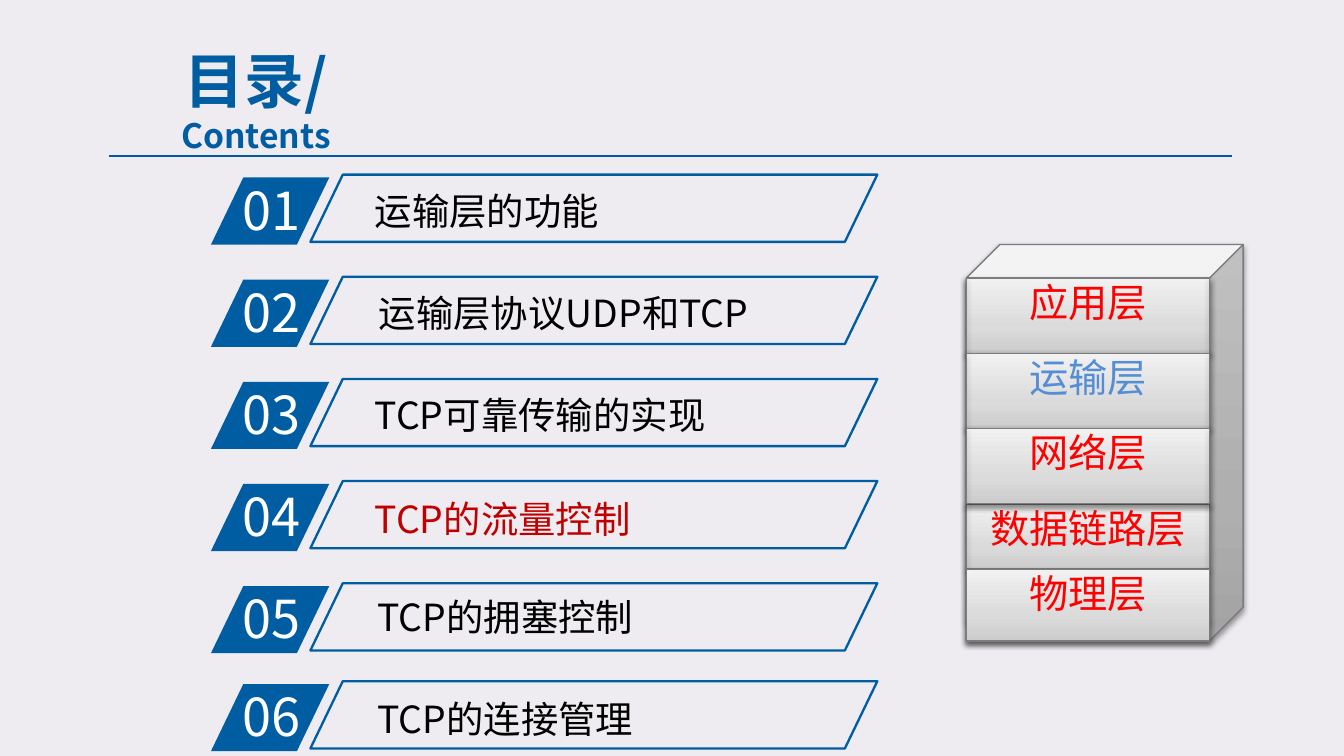
from dataclasses import dataclass

from pptx import Presentation
from pptx.dml.color import RGBColor
from pptx.enum.shapes import MSO_CONNECTOR as Connector, MSO_SHAPE as Shape
from pptx.enum.text import MSO_ANCHOR as Anchor, MSO_AUTO_SIZE as AutoSize, PP_ALIGN as Align
from pptx.oxml import parse_xml
from pptx.oxml.ns import nsdecls, qn
from pptx.util import Pt


@dataclass(frozen=True)
class Theme:
    font: str = "Noto Sans CJK SC"
    background: str = "EEECF1"
    blue: str = "005DA2"
    rule: str = "005B9E"
    white: str = "FFFFFF"
    black: str = "000000"
    current: str = "C00000"
    layer: str = "FF0000"
    transport: str = "558ED5"
    edge: str = "7C7C7C"
    metal: tuple = ((0, "CCCCCC"), (35, "DBDBDB"), (100, "F1F1F1"))
    title_size: float = 32
    subtitle_size: float = 18
    number_size: float = 28
    topic_size: float = 20
    layer_size: float = 21


THEME = Theme()
SLANT = 0.482

# topic, colour, and the text's offset within its frame
TOPICS = [
    ("运输层的功能", THEME.black, 27.4, 3.6),
    ("运输层协议UDP和TCP", THEME.black, 29.5, 3.6),
    ("TCP可靠传输的实现", THEME.black, 27.4, 3.6),
    ("TCP的流量控制", THEME.current, 27.4, 4.3),
    ("TCP的拥塞控制", THEME.black, 28.8, 2.2),
    ("TCP的连接管理", THEME.black, 28.8, 4.3),
]

# layer, colour, top, height, horizontal rules and side length, from the front's top
LAYERS = [
    ("应用层", THEME.layer, 0, 40.3, (40.3,), 40.3),
    ("运输层", THEME.transport, 40.3, 40.3, (80.6,), 40.3),
    ("数据链路层", THEME.layer, 121, 34.8, (121, 184.3), 63.4),
    ("网络层", THEME.layer, 80.6, 40.3, (), 40.3),
    ("物理层", THEME.layer, 156, 38.4, (), 0),
]


def color(value):
    return RGBColor.from_string(value)


def style_run(run, size, value, bold=False):
    run.font.size = Pt(size)
    run.font.name = THEME.font
    run.font.bold = bold
    run.font.color.rgb = color(value)
    east_asian = run.font._element.makeelement(qn("a:ea"), {"typeface": THEME.font})
    run.font._element.find(qn("a:latin")).addnext(east_asian)


def set_text(shape, text, size, value):
    shape.text_frame.text = text
    style_run(shape.text_frame.paragraphs[0].runs[0], size, value)


def add_text(slide, box, text, size, value):
    shape = slide.shapes.add_textbox(*map(Pt, box))
    shape.text_frame.word_wrap = True
    set_text(shape, text, size, value)


def set_line(shape, value, width):
    shape.line.color.rgb = color(value)
    shape.line.width = Pt(width)


def set_effects(shape, shadow=False):
    """Replace the theme's shadow by a soft one below, or by none."""
    soft = ('<a:outerShdw blurRad="39370" dist="20320" dir="5400000" rotWithShape="0">'
            '<a:srgbClr val="000000"><a:alpha val="38000"/></a:srgbClr></a:outerShdw>')
    shape._element.spPr.append(parse_xml(
        f'<a:effectLst {nsdecls("a")}>{soft if shadow else ""}</a:effectLst>'))


def add_line(slide, x1, y1, x2, y2, value, shadow=False):
    line = slide.shapes.add_connector(Connector.STRAIGHT, *map(Pt, (x1, y1, x2, y2)))
    set_line(line, value, 0.75)
    set_effects(line, shadow)


def add_parallelogram(slide, box):
    shape = slide.shapes.add_shape(Shape.PARALLELOGRAM, *map(Pt, box))
    shape.adjustments[0] = SLANT
    shape.shadow.inherit = False
    return shape


def add_metal(slide, kind, box):
    """Add a shape with the grey gradient, thin edge and soft shadow."""
    shape = slide.shapes.add_shape(kind, *map(Pt, box))
    stops = "".join(f'<a:gs pos="{place * 1000}"><a:srgbClr val="{value}"/></a:gs>'
                    for place, value in THEME.metal)
    shape._element.spPr.append(parse_xml(
        f'<a:gradFill {nsdecls("a")} rotWithShape="1"><a:gsLst>{stops}</a:gsLst>'
        '<a:lin ang="16200000" scaled="0"/></a:gradFill>'))
    set_line(shape, THEME.edge, 0.75)
    set_effects(shape, shadow=True)
    return shape


def build_heading(slide, box):
    title = slide.shapes.title
    title.left, title.top, title.width, title.height = map(Pt, box)
    frame = title.text_frame
    frame.auto_size = AutoSize.NONE
    frame.vertical_anchor = Anchor.MIDDLE
    frame.text = "目录/\vContents"
    paragraph = frame.paragraphs[0]
    paragraph.alignment = Align.CENTER
    for run, size in zip(paragraph.runs, (THEME.title_size, THEME.subtitle_size)):
        style_run(run, size, THEME.blue, bold=True)
    add_line(slide, 58.3, 83.5, 660.2, 83.5, THEME.rule)


def build_topic(slide, box, number, topic):
    left, top, width, height = box
    text, value, text_left, text_top = topic
    frame_left, frame_width = left + 53.3, width - 53.3

    badge = add_parallelogram(slide, (left, top + 1.5, 63.4, height))
    badge.fill.solid()
    badge.fill.fore_color.rgb = color(THEME.blue)
    badge.line.fill.background()
    add_text(slide, (left + 9.9, top - 1.8, 60.5, 41), f"{number:02}",
             THEME.number_size, THEME.white)

    frame = add_parallelogram(slide, (frame_left, top, frame_width, height))
    frame.fill.background()
    set_line(frame, THEME.blue, 1.25)
    add_text(slide, (frame_left + text_left, top + text_top, 260, 31.7), text,
             THEME.topic_size, value)


def build_contents(slide, box):
    left, top, width, height = box
    row_height, pitch = 36, 54.72
    last_top = top + height - row_height
    for index, topic in enumerate(TOPICS):
        row_top = min(top + index * pitch, last_top)
        build_topic(slide, (left, row_top, width, row_height), index + 1, topic)


def build_layer_stack(slide, box):
    left, top, width, height = box
    depth = 18
    cube = add_metal(slide, Shape.CUBE, box)
    cube.adjustments[0] = depth / min(width, height)
    front_top, right = top + depth, left + width - depth
    for name, value, offset, layer_height, rules, side in LAYERS:
        layer_top = front_top + offset
        layer = add_metal(slide, Shape.RECTANGLE,
                          (left, layer_top, right - left, layer_height))
        frame = layer.text_frame
        frame.margin_left = frame.margin_right = frame.margin_top = frame.margin_bottom = 0
        frame.vertical_anchor = Anchor.TOP
        set_text(layer, name, THEME.layer_size, value)
        frame.paragraphs[0].alignment = Align.CENTER
        for rule in rules:
            add_line(slide, left, front_top + rule, right, front_top + rule,
                     THEME.edge, shadow=True)
        if side:
            for x in (left, right):
                add_line(slide, x, layer_top, x, layer_top + side, THEME.edge, shadow=True)


def main():
    presentation = Presentation()
    presentation.slide_width, presentation.slide_height = Pt(720), Pt(405)
    slide = presentation.slides.add_slide(presentation.slide_layouts[5])
    slide.background.fill.solid()
    slide.background.fill.fore_color.rgb = color(THEME.background)
    build_heading(slide, (48.2, 33.8, 177.8, 38.9))
    build_contents(slide, (113, 93.6, 357, 307.4))
    build_layer_stack(slide, (517.7, 131, 148.3, 212.4))
    presentation.save("out.pptx")


if __name__ == "__main__":
    main()
